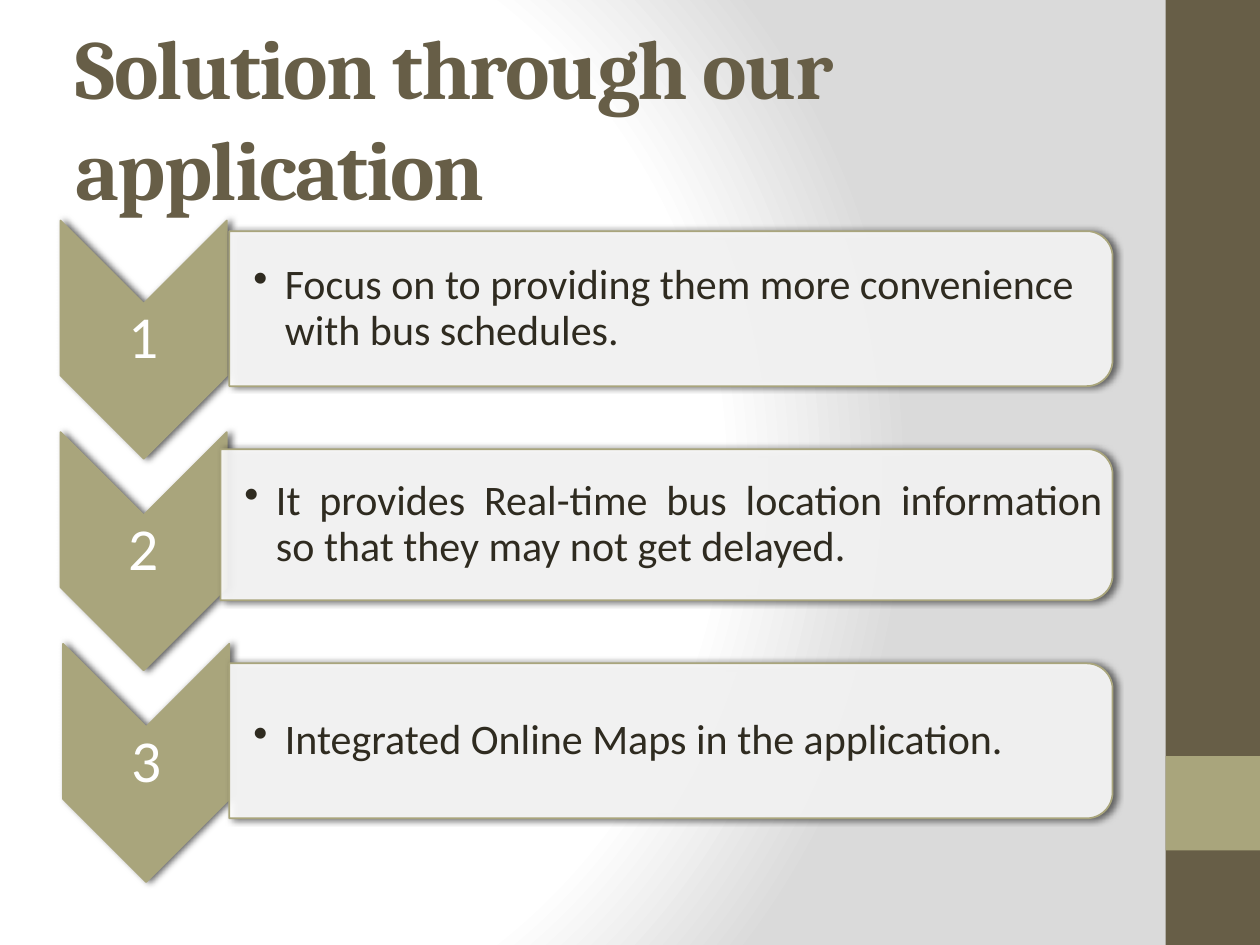
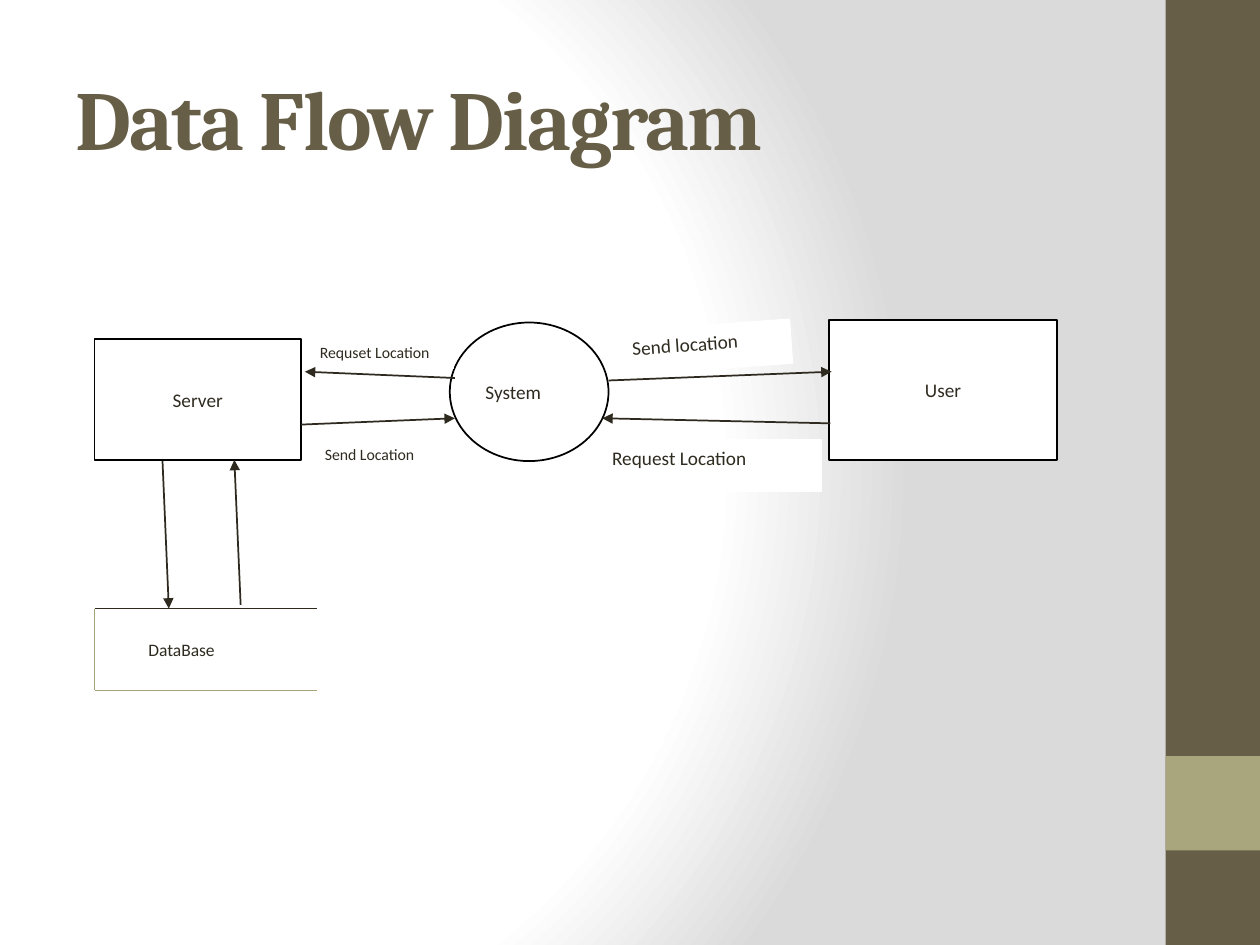
from lxml.etree import SubElement
from pptx import Presentation
from pptx.dml.color import RGBColor
from pptx.enum.shapes import MSO_CONNECTOR, MSO_SHAPE
from pptx.enum.text import MSO_ANCHOR, MSO_AUTO_SIZE, PP_ALIGN
from pptx.oxml import parse_xml
from pptx.oxml.ns import nsdecls, qn
from pptx.util import Inches, Pt

BROWN, KHAKI, INK = "675E47", "A9A57C", "2F2B20"
ARROW, STORE_EDGE = "2E2A1F", "A6A278"
WHITE, BLACK, GREY = "FFFFFF", "000000", "DADADA"
HEADING_FONT, BODY_FONT = "Cambria", "Calibri"
TITLE_ONLY = 5
TITLE_BOX = (0.5, 0.3, 8.33, 1.25)


def color(hex_code):
    return RGBColor.from_string(hex_code)


def inches(*lengths):
    return [Inches(length) for length in lengths]


def write(frame, text, size, hex_code=INK, font=BODY_FONT, align=PP_ALIGN.LEFT,
          anchor=MSO_ANCHOR.MIDDLE, insets=None):
    """Put one run in a text frame; return its paragraph and run."""
    frame.word_wrap = True
    frame.auto_size = MSO_AUTO_SIZE.NONE
    frame.vertical_anchor = anchor
    if insets:
        (frame.margin_left, frame.margin_top,
         frame.margin_right, frame.margin_bottom) = inches(*insets)
    paragraph = frame.paragraphs[0]
    paragraph.alignment = align
    run = paragraph.add_run()
    run.text = text
    run.font.size = Pt(size)
    run.font.name = font
    run.font.color.rgb = color(hex_code)
    return paragraph, run


def add_block(slide, kind, box, fill, line=None, weight=1):
    block = slide.shapes.add_shape(kind, *inches(*box))
    block.shadow.inherit = False
    block.fill.solid()
    block.fill.fore_color.rgb = color(fill)
    if line:
        block.line.color.rgb = color(line)
        block.line.width = Pt(weight)
    else:
        block.line.fill.background()
    return block


def add_turned_block(slide, kind, box, fill):
    """Fill the given box with a shape turned by 90 degrees, with a shadow."""
    left, top, width, height = box
    shift = (width - height) / 2
    block = add_block(slide, kind, (left + shift, top - shift, height, width), fill, KHAKI)
    block.rotation = 90
    effects = block.element.spPr.find(qn("a:effectLst"))
    shadow = SubElement(effects, qn("a:outerShdw"), blurRad=str(Pt(4)), dist=str(Pt(2)),
                        dir="0", rotWithShape="0")
    shade = SubElement(shadow, qn("a:srgbClr"), val=BLACK)
    SubElement(shade, qn("a:alpha"), val="60000")
    return block


def add_line(slide, start, end, hex_code, arrow=False):
    line = slide.shapes.add_connector(MSO_CONNECTOR.STRAIGHT, *inches(*start, *end))
    line.line.color.rgb = color(hex_code)
    line.line.width = Pt(1)
    if arrow:
        SubElement(line.line._get_or_add_ln(), qn("a:tailEnd"), type="triangle")
    SubElement(line._element.spPr, qn("a:effectLst"))


# Shared look
def set_background(master):
    master.background.fill.solid()
    properties = master.element.find(".//" + qn("p:bgPr"))
    stops = "".join(
        f'<a:gs pos="{position * 1000}"><a:srgbClr val="{shade}"/></a:gs>'
        for position, shade in ((0, WHITE), (75, WHITE), (100, GREY)))
    gradient = parse_xml(
        f'<a:gradFill {nsdecls("a")} rotWithShape="1"><a:gsLst>{stops}</a:gsLst>'
        '<a:path path="circle"><a:fillToRect l="20000" t="50000" r="100000" b="50000"/>'
        '</a:path></a:gradFill>')
    properties.replace(properties[0], gradient)


def add_titled_slide(deck, heading):
    slide = deck.slides.add_slide(deck.slide_layouts[TITLE_ONLY])
    # Side band
    add_block(slide, MSO_SHAPE.RECTANGLE, (9.25, 0, 0.75, 7.5), BROWN)
    add_block(slide, MSO_SHAPE.RECTANGLE, (9.25, 6, 0.75, 0.75), KHAKI)
    # Heading
    title = slide.shapes.title
    title.left, title.top, title.width, title.height = inches(*TITLE_BOX)
    _, run = write(title.text_frame, heading, 48, BROWN, HEADING_FONT)
    run.font.bold = True
    run._r.get_or_add_rPr().set("spc", "-100")
    return slide


# Numbered steps
def add_chevron(slide, box, number):
    left, top, width, _ = box
    add_turned_block(slide, MSO_SHAPE.CHEVRON, box, KHAKI)
    label = slide.shapes.add_textbox(*inches(left, top + 0.66, width, 0.57))
    paragraph, _ = write(label.text_frame, str(number), 34, WHITE,
                         align=PP_ALIGN.CENTER, insets=[0.02] * 4)
    paragraph.line_spacing = 0.9


def add_panel(slide, box, text, align):
    left, top, width, height = box
    panel = add_turned_block(slide, MSO_SHAPE.ROUND_2_SAME_RECTANGLE, box, WHITE)
    shade = panel.element.spPr.find(qn("a:solidFill"))[0]
    SubElement(shade, qn("a:alpha"), val="90000")
    body = slide.shapes.add_textbox(*inches(left, top + 0.06, width - 0.06, height - 0.12))
    paragraph, _ = write(body.text_frame, text, 24, align=align,
                         insets=(0.19, 0.02, 0.02, 0.02))
    paragraph.line_spacing = 0.9
    bullet = paragraph._p.get_or_add_pPr()
    bullet.set("marL", str(Inches(0.25)))
    bullet.set("indent", str(-Inches(0.25)))
    SubElement(bullet, qn("a:buChar"), char="•")


def add_steps(slide, box):
    left, top, width, _ = box
    # Text, chevron shift, panel left, panel height, alignment
    steps = [
        ("Focus on to providing them more convenience with bus schedules.",
         0, 1.34, 1.23, PP_ALIGN.LEFT),
        ("It provides Real-time bus location information so that they may not get delayed.",
         0, 1.27, 1.2, PP_ALIGN.JUSTIFY),
        ("Integrated Online Maps in the application.",
         0.02, 1.34, 1.23, PP_ALIGN.LEFT),
    ]
    for index, (text, shift, panel_left, panel_height, align) in enumerate(steps):
        add_chevron(slide, (left + shift, top + index * 1.68, 1.32, 1.89), index + 1)
        panel_top = top + 0.7 + index * 1.715 - panel_height / 2
        add_panel(slide, (left + panel_left, panel_top, width - panel_left, panel_height),
                  text, align)


# Data flow
def add_data_flow(slide, box):
    left, top, width, height = box

    def place(x, y, *size):
        return (left + x, top + y, *size)

    # Nodes
    nodes = [
        ("System", MSO_SHAPE.OVAL, (2.82, 0.02, 1.26, 1.1), PP_ALIGN.LEFT),
        ("User", MSO_SHAPE.RECTANGLE, (5.83, 0, 1.81, 1.11), PP_ALIGN.CENTER),
        ("Server", MSO_SHAPE.RECTANGLE, (0, 0.15, 1.64, 0.96), PP_ALIGN.CENTER),
    ]
    for name, kind, area, align in nodes:
        node = add_block(slide, kind, place(*area), WHITE, BLACK)
        write(node.text_frame, name, 11, align=align)

    # Flow labels
    labels = [
        ("Request Location", 11, (4.01, 0.95, 1.76, 0.41), 0),
        ("Send location", 11, (4.17, 0.04, 1.36, 0.35), 356),
        ("Requset Location", 9, (1.69, 0.13, 1.16, 0.25), 0),
        ("Send Location", 9, (1.73, 0.94, 1.16, 0.25), 0),
        ("DataBase", 10, (0.33, 2.48, 1.16, 0.25), 0),
    ]
    for text, size, area, angle in labels:
        label = add_block(slide, MSO_SHAPE.RECTANGLE, place(*area), WHITE, WHITE, 0.75)
        label.rotation = angle
        write(label.text_frame, text, size, anchor=MSO_ANCHOR.TOP)

    # Flow arrows
    flows = [
        ((4.08, 0.48), (5.85, 0.41)),  # system to user
        ((5.84, 0.82), (4.03, 0.78)),
        ((2.86, 0.46), (1.67, 0.41)),  # system to server
        ((1.64, 0.83), (2.86, 0.78)),
        ((0.54, 1.12), (0.59, 2.29)),  # server to database
        ((1.16, 2.26), (1.11, 1.11)),
    ]
    for start, end in flows:
        add_line(slide, place(*start), place(*end), ARROW, arrow=True)

    # Open-ended database outline
    store_top, store_right = height - 0.65, 1.77
    edges = [
        ((0, store_top), (store_right, store_top), ARROW),
        ((0, store_top), (0, height), STORE_EDGE),
        ((0, height), (store_right, height), STORE_EDGE),
    ]
    for start, end, shade in edges:
        add_line(slide, place(*start), place(*end), shade)


def main():
    deck = Presentation()
    deck.slide_width, deck.slide_height = inches(10, 7.5)
    set_background(deck.slide_master)
    add_steps(add_titled_slide(deck, "Solution through our application"),
              (0.48, 1.75, 8.35, 5.25))
    add_data_flow(add_titled_slide(deck, "Data Flow Diagram"), (0.75, 2.54, 7.64, 2.94))
    deck.save("out.pptx")


if __name__ == "__main__":
    main()
